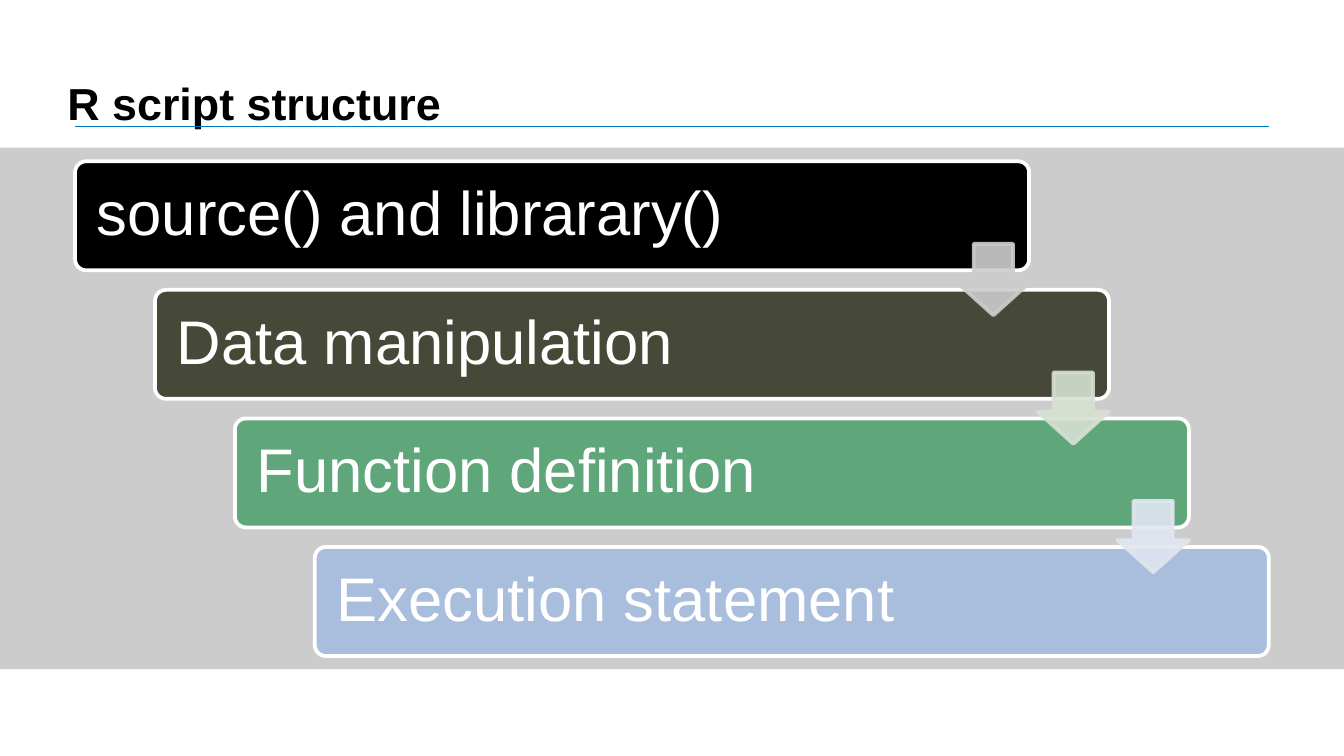
from pptx import Presentation
from pptx import util as u
from pptx.dml.color import RGBColor
from pptx.enum import shapes, text
from pptx.oxml.ns import qn
from pptx.oxml.xmlchemy import OxmlElement

BLACK = RGBColor(0x00, 0x00, 0x00)
WHITE = RGBColor(0xFF, 0xFF, 0xFF)
BLUE = RGBColor(0x00, 0x7C, 0xC2)
GREY = RGBColor(0xCC, 0xCC, 0xCC)
OLIVE = RGBColor(0x47, 0x49, 0x38)
GREEN = RGBColor(0x5F, 0xA6, 0x7B)
PERIWINKLE = RGBColor(0xA9, 0xBD, 0xDD)
PALE_GREEN = RGBColor(0xD5, 0xE0, 0xD2)
PALE_BLUE = RGBColor(0xE0, 0xE6, 0xF0)

FONT = "Arial"
STEPS = [
    ("source() and librarary()", BLACK),
    ("Data manipulation", OLIVE),
    ("Function definition", GREEN),
    ("Execution statement", PERIWINKLE),
]
ARROW_COLORS = [GREY, PALE_GREEN, PALE_BLUE]


def style_text(para, size, color, bold=False):
    para.alignment = text.PP_ALIGN.LEFT
    para.line_spacing = 0.9
    para.font.name = FONT
    para.font.size = u.Pt(size)
    para.font.bold = bold
    para.font.color.rgb = color


def add_filled(page, kind, box, fill, line=None):
    shape = page.shapes.add_shape(kind, *map(u.Cm, box))
    shape.shadow.inherit = False
    shape.fill.solid()
    shape.fill.fore_color.rgb = fill
    if line is None:
        shape.line.fill.background()
    else:
        shape.line.color.rgb = line
        shape.line.width = u.Pt(2)
    return shape


def set_opacity(shape, percent):
    for color in shape._element.spPr.iter(qn("a:srgbClr")):
        alpha = OxmlElement("a:alpha")
        alpha.set("val", str(percent * 1000))
        color.append(alpha)


def add_heading(page, box, wording):
    title = page.shapes.title
    title.left, title.top, title.width, title.height = map(u.Cm, box)
    frame = title.text_frame
    frame.text = wording
    frame.word_wrap = True
    frame.auto_size = text.MSO_AUTO_SIZE.NONE
    frame.vertical_anchor = text.MSO_ANCHOR.BOTTOM
    style_text(frame.paragraphs[0], 24, BLACK, bold=True)


def add_rule(page, left, right, top):
    rule = page.shapes.add_connector(
        shapes.MSO_CONNECTOR.STRAIGHT, u.Cm(left), u.Cm(top), u.Cm(right), u.Cm(top)
    )
    rule.line.color.rgb = BLUE
    rule.line.width = u.Pt(1)
    rule._element.spPr.append(OxmlElement("a:effectLst"))


def add_step(page, box, wording, fill):
    bar = add_filled(page, shapes.MSO_SHAPE.ROUNDED_RECTANGLE, box, fill, WHITE)
    bar.adjustments[0] = 0.1
    frame = bar.text_frame
    frame.text = wording
    frame.word_wrap = True
    frame.vertical_anchor = text.MSO_ANCHOR.MIDDLE
    frame.margin_left = frame.margin_right = u.Cm(0.35)
    style_text(frame.paragraphs[0], 33, WHITE)


def add_staircase(page, box):
    left, top, width, height = box
    bar_width, bar_height, arrow_size = 18.03, 2.06, 1.35
    gaps = len(STEPS) - 1
    shift = (width - bar_width) / gaps
    drop = (height - bar_height) / gaps
    for i, (wording, fill) in enumerate(STEPS):
        step_box = (left + i * shift, top + i * drop, bar_width, bar_height)
        add_step(page, step_box, wording, fill)
    for i, color in enumerate(ARROW_COLORS):
        arrow_left = left + i * shift + bar_width - arrow_size
        arrow_top = top + i * drop + 1.56
        arrow = add_filled(
            page, shapes.MSO_SHAPE.DOWN_ARROW,
            (arrow_left, arrow_top, arrow_size, arrow_size), color, color,
        )
        arrow.adjustments[0] = 0.55
        arrow.adjustments[1] = 0.45
        set_opacity(arrow, 90)


def main():
    deck = Presentation()
    deck.slide_width, deck.slide_height = u.Cm(25.4), u.Cm(14.29)
    page = deck.slides.add_slide(deck.slide_layouts[5])
    add_rule(page, 1.42, 23.98, 2.39)
    add_filled(page, shapes.MSO_SHAPE.RECTANGLE, (0, 2.79, 25.4, 9.86), GREY)
    add_heading(page, (1.02, 1.22, 23.37, 1.37), "R script structure")
    add_staircase(page, (1.42, 3.05, 22.56, 9.35))
    deck.save("out.pptx")


if __name__ == "__main__":
    main()
